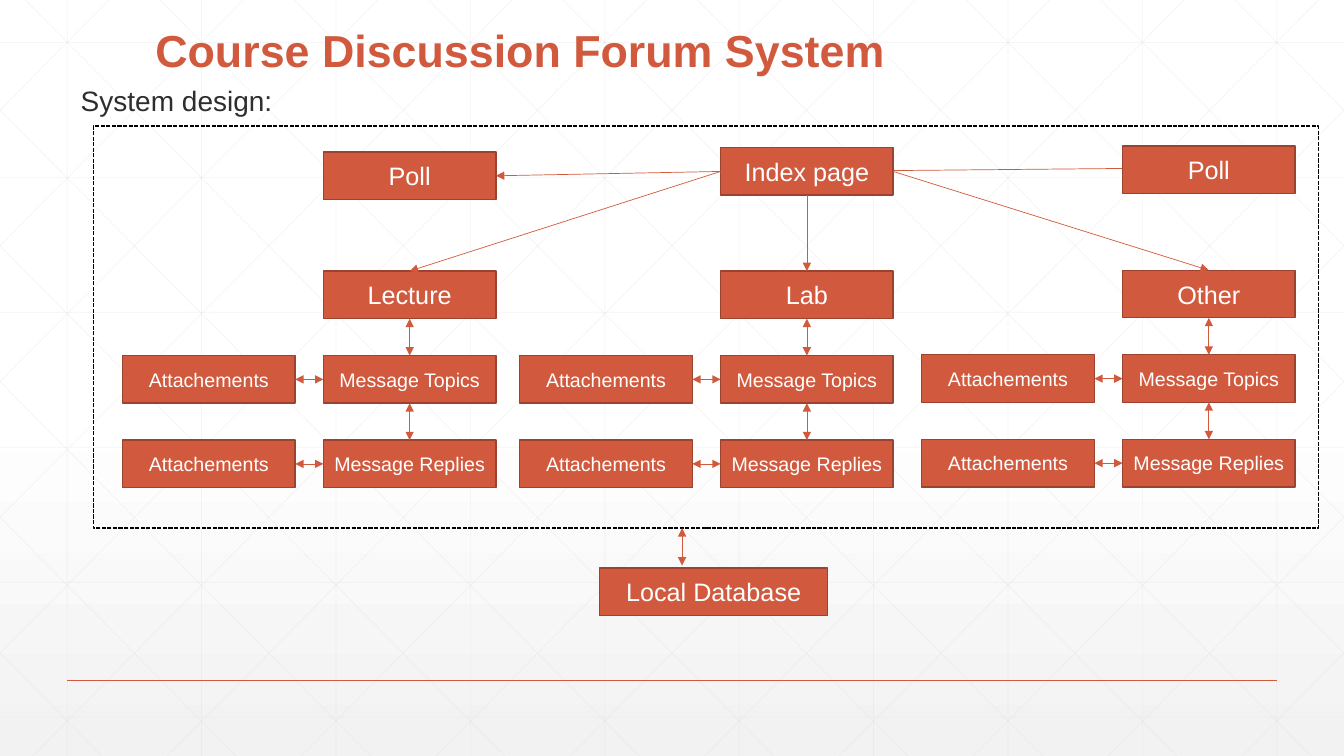
"""Build the system design slide of a course discussion forum."""
from dataclasses import dataclass

from lxml import etree
from pptx import Presentation
from pptx.dml.color import RGBColor
from pptx.enum.dml import MSO_LINE
from pptx.enum.shapes import MSO_CONNECTOR, MSO_SHAPE
from pptx.enum.text import MSO_ANCHOR, MSO_AUTO_SIZE, PP_ALIGN
from pptx.oxml.ns import qn
from pptx.shapes.autoshape import Shape
from pptx.shapes.connector import Connector
from pptx.shapes.placeholder import SlidePlaceholder
from pptx.slide import Slide
from pptx.util import Cm, Pt

RECTANGLE = MSO_SHAPE.RECTANGLE
STRAIGHT = MSO_CONNECTOR.STRAIGHT
DASHED = MSO_LINE.SQUARE_DOT
CENTER, LEFT = PP_ALIGN.CENTER, PP_ALIGN.LEFT
MIDDLE, TOP_ANCHOR, BOTTOM_ANCHOR = MSO_ANCHOR.MIDDLE, MSO_ANCHOR.TOP, MSO_ANCHOR.BOTTOM
NO_AUTOFIT = MSO_AUTO_SIZE.NONE

ORANGE = RGBColor(0xD1, 0x5A, 0x3E)
RUST = RGBColor(0x9B, 0x43, 0x2E)
INK = RGBColor(0x2D, 0x2E, 0x2D)
GRID_GRAY = RGBColor(0xD9, 0xD9, 0xD9)
PALE_GRAY = RGBColor(0xF2, 0xF2, 0xF2)
WHITE = RGBColor(0xFF, 0xFF, 0xFF)
BLACK = RGBColor(0, 0, 0)

FONT = "Arial"
SLIDE_WIDTH, SLIDE_HEIGHT = 33.87, 19.05
GRID_STEP = SLIDE_WIDTH / 10
BOX_WIDTH, BOX_HEIGHT = 4.35, 1.2
ROW_STEP = 2.13
ATTACHMENT_OFFSET = 5.06
TOP, SIDE_LEFT, BOTTOM, SIDE_RIGHT = range(4)


@dataclass(frozen=True)
class Box:
    """A labelled component, placed in centimetres."""

    label: str
    left: float
    top: float
    size: int = 18
    width: float = BOX_WIDTH


@dataclass(frozen=True)
class Section:
    """A forum section with its topics, replies and attachments."""

    name: str
    left: float
    top: float


@dataclass(frozen=True)
class Segment:
    """A straight line between two points in centimetres."""

    x1: float
    y1: float
    x2: float
    y2: float


INDEX_PAGE = Box("Index page", 18.16, 3.72)
LEFT_POLL = Box("Poll", 8.15, 3.83)
RIGHT_POLL = Box("Poll", 28.29, 3.68)
DATABASE = Box("Local Database", 15.11, 14.31, width=5.75)
SECTIONS = (
    Section("Lecture", 8.15, 6.83),
    Section("Lab", 18.16, 6.83),
    Section("Other", 28.29, 6.81),
)


def add_line(slide: Slide, segment: Segment, color: RGBColor, width: float) -> Connector:
    """Draw a straight line without a shadow."""
    line = slide.shapes.add_connector(
        STRAIGHT, Cm(segment.x1), Cm(segment.y1), Cm(segment.x2), Cm(segment.y2)
    )
    line.line.color.rgb = color
    line.line.width = Pt(width)
    etree.SubElement(line.element.find(qn("p:spPr")), qn("a:effectLst"))
    return line


def add_arrow(slide: Slide, segment: Segment, both_ways: bool = False) -> Connector:
    """Draw an arrow with a triangle at one or both ends."""
    arrow = add_line(slide, segment, ORANGE, 0.5)
    outline = arrow.element.find(qn("p:spPr")).find(qn("a:ln"))
    for end in ("a:headEnd", "a:tailEnd") if both_ways else ("a:tailEnd",):
        etree.SubElement(outline, qn(end), type="triangle")
    return arrow


def join(slide: Slide, start: Shape, start_side: int, end: Shape, end_side: int,
         both_ways: bool = False) -> None:
    """Join the sides of two boxes with an arrow."""
    arrow = add_arrow(slide, Segment(0, 0, 1, 1), both_ways)
    arrow.begin_connect(start, start_side)
    arrow.end_connect(end, end_side)


def add_box(slide: Slide, box: Box) -> Shape:
    """Draw a labelled component."""
    shape = slide.shapes.add_shape(
        RECTANGLE, Cm(box.left), Cm(box.top), Cm(box.width), Cm(BOX_HEIGHT)
    )
    shape.shadow.inherit = False
    shape.fill.solid()
    shape.fill.fore_color.rgb = ORANGE
    shape.line.color.rgb = RUST
    shape.line.width = Pt(1)
    frame = shape.text_frame
    frame.word_wrap = True
    frame.margin_left = frame.margin_right = Cm(0.1)
    frame.vertical_anchor = MIDDLE
    label = frame.paragraphs[0]
    label.text = box.label
    label.alignment = CENTER
    label.font.name = FONT
    label.font.size = Pt(box.size)
    label.font.color.rgb = WHITE
    return shape


def add_section(slide: Slide, section: Section) -> Shape:
    """Draw a section with its messages and return its heading box."""
    heading = add_box(slide, Box(section.name, section.left, section.top))
    above = heading
    for row, label in enumerate(("Message Topics", "Message Replies"), start=1):
        top = section.top + row * ROW_STEP
        messages = add_box(slide, Box(label, section.left, top, 14))
        attachments = add_box(
            slide, Box("Attachements", section.left - ATTACHMENT_OFFSET, top, 14)
        )
        join(slide, above, BOTTOM, messages, TOP, both_ways=True)
        join(slide, attachments, SIDE_RIGHT, messages, SIDE_LEFT, both_ways=True)
        above = messages
    return heading


def grid_segments() -> list[Segment]:
    """Work out the upright, level and slanted background lines."""
    uprights = [(k + 0.5) * GRID_STEP for k in range(10)]
    levels = [1.07 + 3.4 * k for k in range(6)]
    segments = [Segment(x, 0, x, SLIDE_HEIGHT) for x in uprights]
    segments += [Segment(0, y, SLIDE_WIDTH, y) for y in levels]
    lean = 0.99
    for k in range(-5, 10):
        start = 0.64 + k * GRID_STEP
        top = max(0, -start / lean)
        bottom = min(SLIDE_HEIGHT, (SLIDE_WIDTH - start) / lean)
        x1, x2 = start + top * lean, start + bottom * lean
        segments.append(Segment(x1, top, x2, bottom))
        segments.append(Segment(SLIDE_WIDTH - x1, top, SLIDE_WIDTH - x2, bottom))
    return segments


def add_backdrop(slide: Slide) -> None:
    """Draw the gradient, the faint grid and the footer rule."""
    fill = slide.background.fill
    fill.gradient()
    fill.gradient_angle = 270
    for stop, position, color in zip(fill.gradient_stops, (0.53, 1), (WHITE, PALE_GRAY)):
        stop.position = position
        stop.color.rgb = color
    for segment in grid_segments():
        line = add_line(slide, segment, GRID_GRAY, 0.5)
        color = next(line.element.find(qn("p:spPr")).iter(qn("a:srgbClr")))
        etree.SubElement(color, qn("a:alpha"), val="25000")
    add_line(slide, Segment(1.7, 17.15, 32.17, 17.15), ORANGE, 1)


def fill_placeholder(holder: SlidePlaceholder, text: str, box: tuple[float, ...], size: int,
                     color: RGBColor, anchor: MSO_ANCHOR, bold: bool = False) -> None:
    """Place a placeholder above the backdrop and format its text."""
    holder.left, holder.top, holder.width, holder.height = map(Cm, box)
    holder.element.getparent().append(holder.element)
    frame = holder.text_frame
    frame.auto_size = NO_AUTOFIT
    frame.vertical_anchor = anchor
    paragraph = frame.paragraphs[0]
    paragraph.text = text
    paragraph.alignment = LEFT
    paragraph.line_spacing = 0.9
    paragraph.font.name = FONT
    paragraph.font.size = Pt(size)
    paragraph.font.bold = bold
    paragraph.font.color.rgb = color


def add_texts(slide: Slide) -> None:
    """Fill the title and the body."""
    title, body = slide.shapes.title, slide.placeholders[1]
    fill_placeholder(title, "Course Discussion Forum System", (3.66, 0.5, 26.67, 1.57),
                     32, ORANGE, BOTTOM_ANCHOR, bold=True)
    fill_placeholder(body, "System design:", (1.78, 2.08, 26.67, 12.55),
                     20, INK, TOP_ANCHOR)
    body.text_frame.paragraphs[0].space_before = Pt(18)
    properties = next(body.element.iter(qn("a:pPr")))
    properties.set("marL", "0")
    properties.set("indent", "0")
    properties.insert(2, etree.Element(qn("a:buNone")))


def add_diagram(slide: Slide) -> None:
    """Draw the pages, their links, the system frame and the database."""
    add_arrow(slide, Segment(20.17, 4.32, 28.78, 4.24))
    index_page = add_box(slide, INDEX_PAGE)
    lecture, lab, other = (add_section(slide, section) for section in SECTIONS)
    join(slide, index_page, SIDE_LEFT, lecture, TOP)
    join(slide, index_page, BOTTOM, lab, TOP)
    join(slide, index_page, SIDE_RIGHT, other, TOP)
    add_box(slide, RIGHT_POLL)
    join(slide, index_page, SIDE_LEFT, add_box(slide, LEFT_POLL), SIDE_RIGHT)
    system = slide.shapes.add_shape(RECTANGLE, Cm(2.35), Cm(3.18), Cm(30.88), Cm(10.13))
    system.shadow.inherit = False
    system.fill.background()
    system.line.color.rgb = BLACK
    system.line.width = Pt(1)
    system.line.dash_style = DASHED
    add_arrow(slide, Segment(17.19, 13.31, 17.19, 14.25), both_ways=True)
    add_box(slide, DATABASE)


def main() -> None:
    """Build and save the presentation."""
    presentation = Presentation()
    presentation.slide_width = Cm(SLIDE_WIDTH)
    presentation.slide_height = Cm(SLIDE_HEIGHT)
    slide = presentation.slides.add_slide(presentation.slide_layouts[1])
    add_backdrop(slide)
    add_texts(slide)
    add_diagram(slide)
    presentation.save("out.pptx")


if __name__ == "__main__":
    main()
